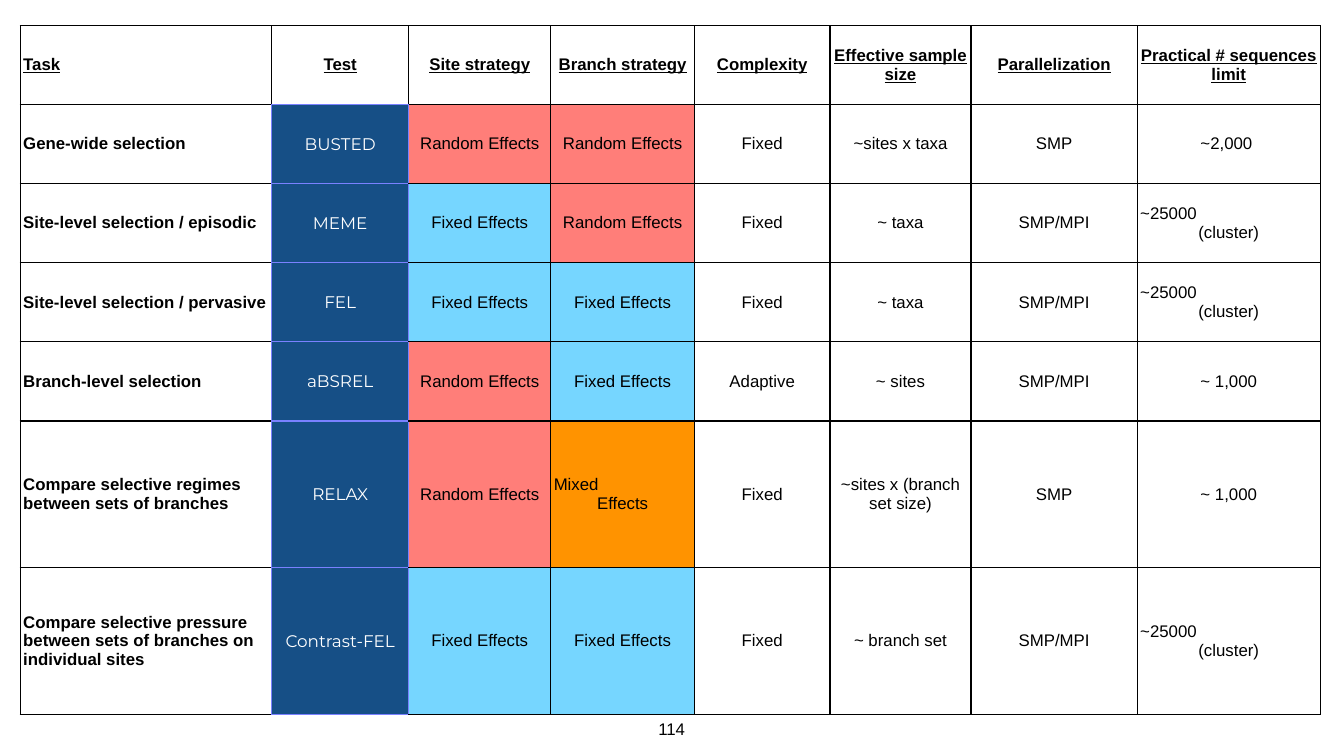
"""Build a slide with a table that compares selection tests."""
from typing import NamedTuple

from lxml.etree import SubElement
from pptx import Presentation
from pptx.dml.color import RGBColor
from pptx.enum.text import MSO_ANCHOR, MSO_AUTO_SIZE, PP_ALIGN
from pptx.oxml.ns import qn
from pptx.util import Cm, Pt

BLACK = RGBColor(0x00, 0x00, 0x00)
WHITE = RGBColor(0xFF, 0xFF, 0xFF)
NAVY = RGBColor(0x16, 0x4F, 0x86)
VIOLET = RGBColor(0x7A, 0x81, 0xFF)
CORAL = RGBColor(0xFF, 0x7E, 0x79)
SKY = RGBColor(0x76, 0xD6, 0xFF)
ORANGE = RGBColor(0xFF, 0x93, 0x00)

RANDOM = "Random Effects"
FIXED = "Fixed Effects"
MIXED = "Mixed\nEffects"
CLUSTER = "~25000\n(cluster)"
FILLS = {RANDOM: CORAL, FIXED: SKY, MIXED: ORANGE}
PAD = Cm(0.15)
WIDTHS = (12.67, 6.91, 7.16, 7.24, 6.83, 7.11, 8.38, 9.22)


class Row(NamedTuple):
    height: float
    task: str
    test: str
    site: str
    branch: str
    load: str
    sample: str
    mode: str
    limit: str


ROWS = (
    Row(3.96, "Task", "Test", "Site strategy", "Branch strategy", "Complexity",
        "Effective sample size", "Parallelization", "Practical # sequences limit"),
    Row(3.99, "Gene-wide selection", "BUSTED", RANDOM, RANDOM, "Fixed",
        "~sites x taxa", "SMP", "~2,000 "),
    Row(3.99, "Site-level selection / episodic", "MEME", FIXED, RANDOM, "Fixed",
        "~ taxa", "SMP/MPI", CLUSTER),
    Row(3.99, "Site-level selection / pervasive", "FEL", FIXED, FIXED, "Fixed",
        "~ taxa", "SMP/MPI", CLUSTER),
    Row(3.99, "Branch-level selection", "aBSREL", RANDOM, FIXED, "Adaptive",
        "~ sites", "SMP/MPI", "~ 1,000"),
    Row(7.39, "Compare selective regimes between sets of branches", "RELAX",
        RANDOM, MIXED, "Fixed", "~sites x (branch set size)", "SMP", "~ 1,000"),
    Row(7.39, "Compare selective pressure between sets of branches on individual sites",
        "Contrast-FEL", FIXED, FIXED, "Fixed", "~ branch set", "SMP/MPI", CLUSTER),
)


def write(frame, text: str, *, font: str = "Arial", size: float = 24,
          color: RGBColor = BLACK, bold: bool = False, under: bool = False,
          align: PP_ALIGN = PP_ALIGN.CENTER) -> None:
    lines = text.split("\n")
    for i, line in enumerate(lines):
        para = frame.paragraphs[0] if i == 0 else frame.add_paragraph()
        para.alignment = align if i == len(lines) - 1 else PP_ALIGN.LEFT
        run = para.add_run()
        run.text = line
        run.font.name, run.font.size = font, Pt(size)
        run.font.bold, run.font.underline = bold, under
        run.font.color.rgb = color


def is_test(row: int, col: int) -> bool:
    return col == 1 and 0 < row < len(ROWS)


def edge(cell, row: int, col: int) -> None:
    props = cell._tc.get_or_add_tcPr()
    for side, down, right in (("L", 0, -1), ("R", 0, 1), ("T", -1, 0), ("B", 1, 0)):
        near = is_test(row, col) or is_test(row + down, col + right)
        line = SubElement(props, qn(f"a:ln{side}"), w=str(Pt(2)))
        fill = SubElement(line, qn("a:solidFill"))
        SubElement(fill, qn("a:srgbClr"), val=str(VIOLET if near else BLACK))


def paint(cell, row: int, col: int, text: str) -> None:
    test = is_test(row, col)
    cell.vertical_anchor = MSO_ANCHOR.MIDDLE
    cell.margin_left = cell.margin_right = PAD
    cell.margin_top = cell.margin_bottom = PAD
    edge(cell, row, col)
    tint = NAVY if test else FILLS.get(text)
    if tint:
        cell.fill.solid()
        cell.fill.fore_color.rgb = tint
    else:
        cell.fill.background()
    write(cell.text_frame, text, font="Montserrat" if test else "Arial",
          color=WHITE if test else BLACK, bold=row == 0 or col == 0, under=row == 0,
          align=PP_ALIGN.LEFT if col == 0 else PP_ALIGN.CENTER)


def add_grid(slide) -> None:
    wide, high = sum(WIDTHS), sum(row.height for row in ROWS)
    grid = slide.shapes.add_table(len(ROWS), len(WIDTHS), Cm(1.02), Cm(1.3),
                                  Cm(wide), Cm(high)).table
    grid.first_row = grid.horz_banding = False
    for col, width in zip(grid.columns, WIDTHS):
        col.width = Cm(width)
    for r, row in enumerate(ROWS):
        grid.rows[r].height = Cm(row.height)
        for c, text in enumerate(row[1:]):
            paint(grid.cell(r, c), r, c, text)


def add_page(slide, text: str) -> None:
    frame = slide.shapes.add_textbox(Cm(32.99), Cm(36.07), Cm(1.73), Cm(1.3)).text_frame
    frame.margin_left = frame.margin_right = PAD
    frame.margin_top = frame.margin_bottom = PAD
    frame.vertical_anchor = MSO_ANCHOR.BOTTOM
    frame.word_wrap = False
    frame.auto_size = MSO_AUTO_SIZE.SHAPE_TO_FIT_TEXT
    write(frame, text)


def main() -> None:
    deck = Presentation()
    deck.slide_width, deck.slide_height = Cm(67.74), Cm(38.1)
    slide = deck.slides.add_slide(deck.slide_layouts[6])
    add_grid(slide)
    add_page(slide, "114")
    deck.save("out.pptx")


if __name__ == "__main__":
    main()
